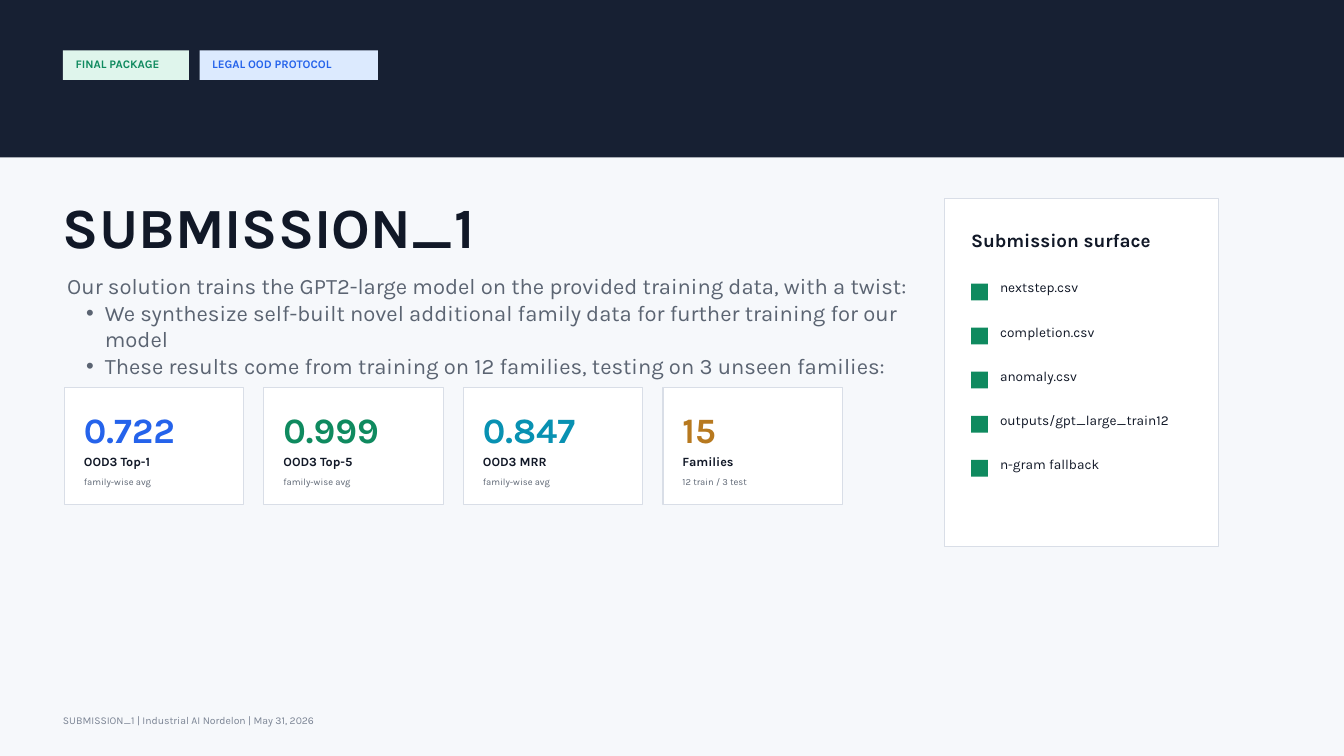
from lxml.etree import SubElement
from pptx import Presentation
from pptx.dml.color import RGBColor
from pptx.enum.shapes import MSO_SHAPE
from pptx.enum.text import MSO_ANCHOR, MSO_AUTO_SIZE, PP_ALIGN
from pptx.oxml.ns import qn
from pptx.util import Inches, Pt

# The slide is a grid of 640 columns by 360 rows
COLUMNS, ROWS = 640, 360
WIDTH, HEIGHT = Inches(20), Inches(11.25)
FONT = "Karla"
LINE_RATIO = 1.2
MARGIN = 30

COLORS = {
    "page": "F6F8FB", "band": "172033", "white": "FFFFFF", "edge": "D9DEE7",
    "ink": "111827", "muted": "5B6472", "footer": "7B8494",
    "green": "0F8A5F", "mint": "DFF5EC", "blue": "2563EB", "sky": "DCEAFE",
    "cyan": "0891B2", "amber": "B7791F",
}

TAGS = [  # left, width, label, fill, text colour
    (30, 60, "FINAL PACKAGE", "mint", "green"),
    (95, 85, "LEGAL OOD PROTOCOL", "sky", "blue"),
]
METRICS = [
    ("0.722", "OOD3 Top-1", "family-wise avg", "blue"),
    ("0.999", "OOD3 Top-5", "family-wise avg", "green"),
    ("0.847", "OOD3 MRR", "family-wise avg", "cyan"),
    ("15", "Families", "12 train / 3 test", "amber"),
]
FILES = ["nextstep.csv", "completion.csv", "anomaly.csv",
         "outputs/gpt_large_train12", "n-gram fallback"]
INTRO = "Our solution trains the GPT2-large model on the provided training data, with a twist:"
POINTS = [
    "We synthesize self-built novel additional family data for further training for our model",
    "These results come from training on 12 families, testing on 3 unseen families:",
]


def color(name):
    return RGBColor.from_string(COLORS[name])


def place(column, row, columns, rows):
    """Turn grid cells into left, top, width and height."""
    return (round(WIDTH * column / COLUMNS), round(HEIGHT * row / ROWS),
            round(WIDTH * columns / COLUMNS), round(HEIGHT * rows / ROWS))


def add_panel(page, cells, fill, edge=None):
    panel = page.shapes.add_shape(MSO_SHAPE.RECTANGLE, *place(*cells))
    panel.shadow.inherit = False
    panel.fill.solid()
    panel.fill.fore_color.rgb = color(fill)
    if edge:
        panel.line.color.rgb = color(edge)
        panel.line.width = Pt(1.13)
    else:
        panel.line.fill.background()


def prepare_frame(box):
    frame = box.text_frame
    frame.margin_left = frame.margin_right = 0
    frame.margin_top = frame.margin_bottom = 0
    frame.vertical_anchor = MSO_ANCHOR.TOP
    frame.auto_size = MSO_AUTO_SIZE.NONE
    frame.word_wrap = True
    return frame


def write(para, text, size, ink, bold=False):
    para.alignment = PP_ALIGN.LEFT
    para.line_spacing = Pt(round(size * LINE_RATIO, 1))
    para.space_before = Pt(0)
    span = para.add_run()
    span.text = text
    span.font.name = FONT
    span.font.size = Pt(size)
    span.font.bold = bold
    span.font.color.rgb = color(ink)


def add_text(page, cells, text, size, ink, bold=False):
    box = page.shapes.add_textbox(*place(*cells))
    write(prepare_frame(box).paragraphs[0], text, size, ink, bold)


def move(holder, cells):
    holder.left, holder.top, holder.width, holder.height = place(*cells)


def set_bullet(para, char=None, indent=0, hanging=0):
    properties = para._p.get_or_add_pPr()
    properties.set("marL", str(Inches(indent)))
    properties.set("indent", str(-Inches(hanging)))
    if char:
        SubElement(properties, qn("a:buChar")).set("char", char)
    else:
        SubElement(properties, qn("a:buNone"))


def fill_title(page):
    title = page.shapes.title
    move(title, (MARGIN, 91.2, 360, 35.5))
    write(prepare_frame(title).paragraphs[0], "SUBMISSION_1", 60.8, "ink", True)


def fill_body(page):
    body = page.placeholders[1]
    move(body, (32, 130, 410, 37))
    frame = prepare_frame(body)
    set_bullet(frame.paragraphs[0])
    write(frame.paragraphs[0], INTRO, 23.6, "muted")
    for point in POINTS:
        para = frame.add_paragraph()
        para.level = 1
        set_bullet(para, "•", 0.56, 0.28)
        write(para, point, 23.6, "muted")


def add_tag(page, left, width, label, fill, ink):
    add_panel(page, (left, 24, width, 14), fill)
    add_text(page, (left + 6, 27, width - 12, 9), label, 12.4, ink, True)


def add_metric(page, index, value, label, note, ink):
    left = 30.7 + 95 * index
    add_panel(page, (left, 184.7, 85.4, 55.5), "white", "edge")
    lines = [(194, 21, value, 38.2, ink, True),
             (216.3, 10.2, label, 13.5, "ink", True),
             (226.6, 9.3, note, 10.1, "muted", False)]
    for top, height, text, size, tone, bold in lines:
        add_text(page, (left + 9.3, top, 67, height), text, size, tone, bold)


def add_file_list(page):
    left = 462.4
    add_panel(page, (449.6, 94.7, 130.6, 165.4), "white", "edge")
    add_text(page, (left, 109.1, 105, 13), "Submission surface", 20.2, "ink", True)
    for index, name in enumerate(FILES):
        top = 135 + 21 * index
        add_panel(page, (left, top, 8, 8), "green")
        add_text(page, (left + 13.8, top - 2, 87.4, 12), name, 14.6, "ink")


def main():
    deck = Presentation()
    deck.slide_width, deck.slide_height = WIDTH, HEIGHT
    page = deck.slides.add_slide(deck.slide_layouts[1])
    page.background.fill.solid()
    page.background.fill.fore_color.rgb = color("page")

    # Top band with tags
    add_panel(page, (0, 0, COLUMNS, 75), "band")
    for tag in TAGS:
        add_tag(page, *tag)

    # Title, summary and results
    fill_title(page)
    fill_body(page)
    for index, metric in enumerate(METRICS):
        add_metric(page, index, *metric)

    # Submitted files and footer
    add_file_list(page)
    add_text(page, (MARGIN, 340, 400, 10),
             "SUBMISSION_1 | Industrial AI Nordelon | May 31, 2026", 11.2, "footer")
    deck.save("out.pptx")


if __name__ == "__main__":
    main()
